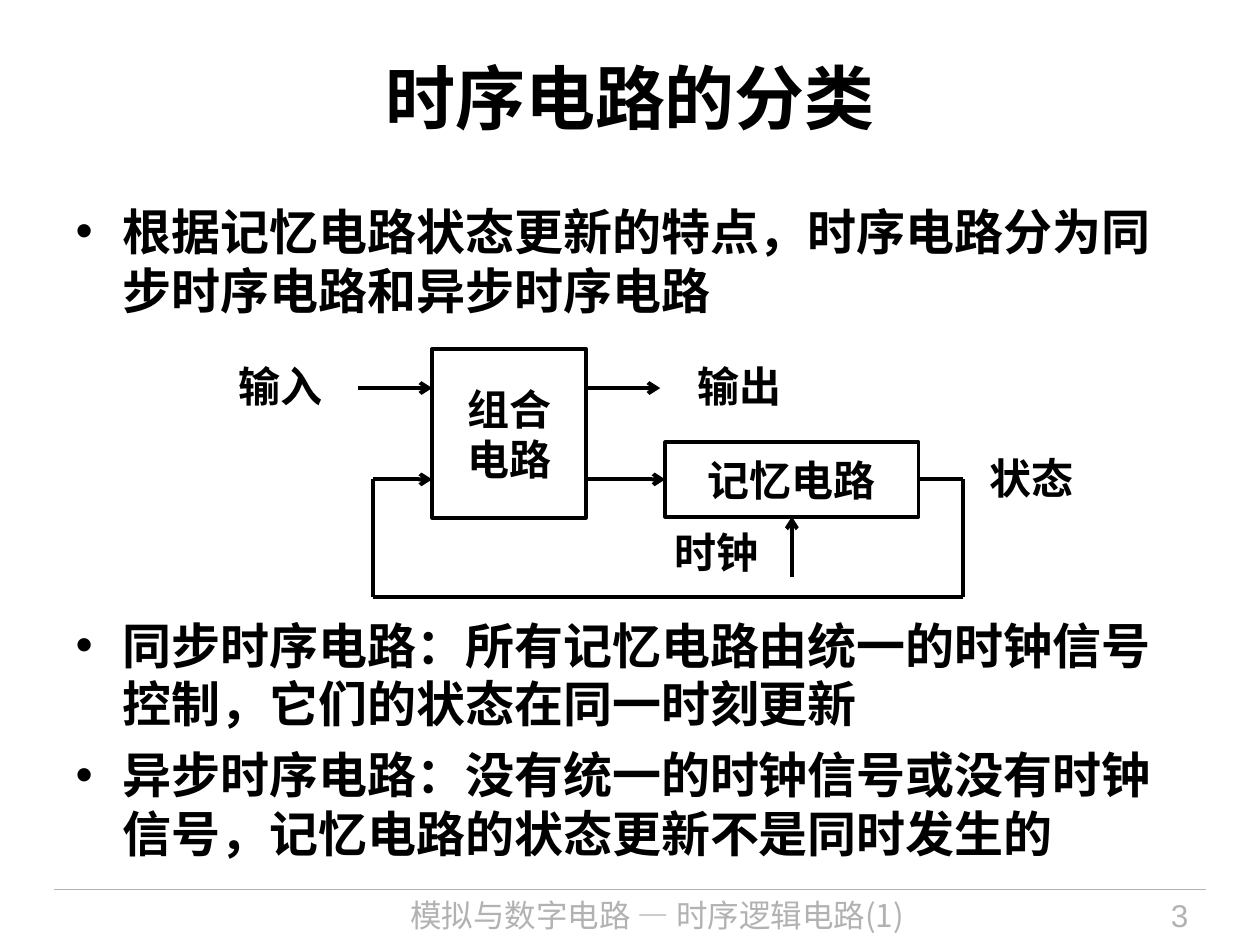
from dataclasses import dataclass
from itertools import pairwise

from lxml import etree
from pptx import Presentation
from pptx import util as u
from pptx.dml.color import RGBColor
from pptx.enum import shapes, text
from pptx.oxml.ns import qn

COLOURS = {"ink": "000000", "muted": "B2B2B2"}
SERIF, SANS, CJK = "Times New Roman", "Arial", "Noto Sans CJK SC"
COLUMNS, ROWS = 100, 75
CELL = u.Inches(0.1)


@dataclass
class Box:
    """An area in grid cells."""
    left: float
    top: float
    width: float
    height: float

    def inner(self, left, top, width, height):
        return Box(self.left + left, self.top + top, width, height)

    def point(self, column, row):
        return cells(self.left + column), cells(self.top + row)

    def lengths(self):
        return [cells(n) for n in (self.left, self.top, self.width, self.height)]


def cells(count):
    return round(count * CELL)


def colour(name):
    return RGBColor.from_string(COLOURS[name])


def place(shape, box):
    shape.left, shape.top, shape.width, shape.height = box.lengths()


def write(shape, words, size, font, ink="ink", bold=True, align=text.PP_ALIGN.CENTER):
    frame = shape.text_frame
    frame.text = words
    frame.auto_size = text.MSO_AUTO_SIZE.NONE
    frame.word_wrap = True
    for para in frame.paragraphs:
        para.alignment = align
        for span in para.runs:
            span.font.size, span.font.name, span.font.bold = u.Pt(size), font, bold
            span.font.color.rgb = colour(ink)
    return frame


def centre_without_margins(frame):
    frame.margin_left = frame.margin_right = frame.margin_top = frame.margin_bottom = 0
    frame.vertical_anchor = text.MSO_ANCHOR.MIDDLE


def add_line(page, start, end, ink="ink", width=2.25, arrow=False):
    line = page.shapes.add_connector(shapes.MSO_CONNECTOR.STRAIGHT, *start, *end)
    line.line.color.rgb = colour(ink)
    line.line.width = u.Pt(width)
    properties = line._element.spPr
    if arrow:
        etree.SubElement(properties.find(qn("a:ln")), qn("a:tailEnd"), type="arrow")
    etree.SubElement(properties, qn("a:effectLst"))
    return line


def add_block(page, box, words):
    block = page.shapes.add_shape(shapes.MSO_SHAPE.RECTANGLE, *box.lengths())
    block.shadow.inherit = False
    block.fill.background()
    block.line.color.rgb = colour("ink")
    block.line.width = u.Pt(2.25)
    frame = write(block, words, 24, SANS)
    frame.word_wrap = False
    centre_without_margins(frame)
    return block


def add_label(page, box, words):
    label = page.shapes.add_textbox(*box.lengths())
    centre_without_margins(write(label, words, 24, SERIF))


def fill_title(page, box):
    title = page.shapes.title
    place(title, box)
    write(title, "时序电路的分类", 40, SERIF)


def fill_body(page, box, diagram_gap):
    """Writes the list, leaving diagram_gap points free below its first item."""
    body = page.placeholders[1]
    place(body, box)
    items = (
        "根据记忆电路状态更新的特点，时序电路分为同步时序电路和异步时序电路",
        "同步时序电路：所有记忆电路由统一的时钟信号控制，它们的状态在同一时刻更新",
        "异步时序电路：没有统一的时钟信号或没有时钟信号，记忆电路的状态更新不是同时发生的",
    )
    frame = write(body, "\n".join(items), 28, SERIF, align=text.PP_ALIGN.LEFT)
    for para, before in zip(frame.paragraphs, (0, diagram_gap, 0)):
        para.space_before, para.space_after = u.Pt(before), u.Pt(7)


def draw_circuit(page, box):
    signal_row, state_row, clock_column = 3.1, 10.35, 47.05
    add_block(page, box.inner(18.5, 0, 12.2, 13.4), "组合\n电路")
    memory = add_block(page, box.inner(37, 7.4, 20.1, 5.9), "记忆电路")

    for start, end in ((12.6, 18.5), (30.7, 36.6)):
        add_line(page, box.point(start, signal_row), box.point(end, signal_row), arrow=True)
    update = add_line(page, box.point(30.7, state_row), box.point(37, state_row), arrow=True)
    update.end_connect(memory, 1)
    clock = add_line(page, box.point(clock_column, 18.1), box.point(clock_column, 13.3),
                     arrow=True)
    clock.end_connect(memory, 2)

    corners = ((57.1, state_row), (60.6, state_row), (60.6, 19.7),
               (13.8, 19.7), (13.8, state_row), (18.5, state_row))
    feedback = [add_line(page, box.point(*start), box.point(*end), arrow=end == corners[-1])
                for start, end in pairwise(corners)]
    feedback[0].begin_connect(memory, 3)

    for words, left, top, width in (("输入", 0, 0.9, 12.9), ("输出", 36.6, 0.9, 12.6),
                                    ("时钟", 35.8, 14.1, 10.6), ("状态", 59.8, 8.2, 12.6)):
        add_label(page, box.inner(left, top, width, 4), words)


def add_footer(page, box):
    add_line(page, box.point(0, 0), box.point(box.width, 0), "muted", 0.75)
    for words, font, left, width, align in (
        ("模拟与数字电路 — 时序逻辑电路(1)", CJK, 19.7, 56.3, text.PP_ALIGN.CENTER),
        ("3", SANS, 77.7, 13.3, text.PP_ALIGN.RIGHT),
    ):
        note = page.shapes.add_textbox(*box.inner(left, 0, width, box.height).lengths())
        write(note, words, 18, font, "muted", False, align)


def main():
    deck = Presentation()
    deck.slide_width, deck.slide_height = cells(COLUMNS), cells(ROWS)
    page = deck.slides.add_slide(deck.slide_layouts[1])
    fill_title(page, Box(5, 1.4, 90, 12.5))
    fill_body(page, Box(5, 15.5, 90, 54.3), diagram_gap=162)
    draw_circuit(page, Box(15.8, 27.7, 72.4, 19.9))
    add_footer(page, Box(4.3, 70.6, 91.4, 4.4))
    deck.save("out.pptx")


if __name__ == "__main__":
    main()
